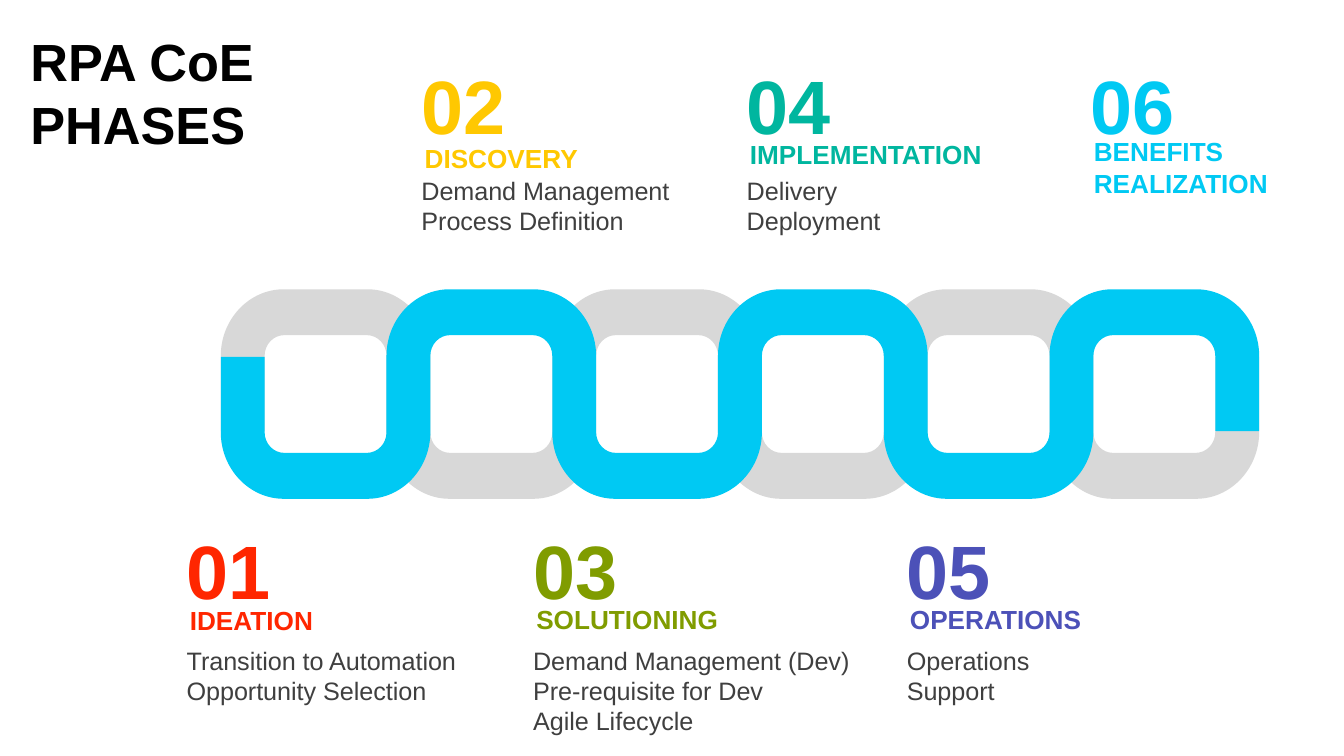
from lxml import etree
from pptx import Presentation
from pptx.dml.color import RGBColor as Color
from pptx.enum.text import MSO_AUTO_SIZE as AutoSize
from pptx.oxml.ns import qn
from pptx.util import Pt

COLORS = {
    "title": "000000", "body": "3F3F3F", "gray": "D8D8D8", "cyan": "00C9F3",
    "red": "FF2600", "yellow": "FFC801", "olive": "809C00",
    "green": "00B69F", "indigo": "4C51B8",
}

deck = Presentation()
deck.slide_width, deck.slide_height = Pt(720), Pt(405)
page = deck.slides.add_slide(deck.slide_layouts[6])


def add_text(place, lines, size, color, bold=True, inset=(5.4, 2.7), wrap=True):
    box = page.shapes.add_textbox(*(Pt(value) for value in place))
    frame = box.text_frame
    frame.word_wrap = wrap
    frame.auto_size = AutoSize.NONE if wrap else AutoSize.SHAPE_TO_FIT_TEXT
    frame.margin_left = frame.margin_right = Pt(inset[0])
    frame.margin_top = frame.margin_bottom = Pt(inset[1])
    for index, line in enumerate(lines):
        para = frame.add_paragraph() if index else frame.paragraphs[0]
        span = para.add_run()
        span.text = line
        span.font.name = "Arial"
        span.font.size = Pt(size)
        span.font.bold = bold
        span.font.color.rgb = Color.from_string(COLORS[color])


# Chain: two mirrored ribbons weaving through seven upright bars
LEFT, TOP, BOTTOM = 118.25, 155, 267.25
PITCH, BAR, BAND = 88.8, 23.5, 24.6
LINKS, START = 6, 191.25
PULL = 0.55  # Bezier handle length as a share of the corner radius


def link_corners(link, outer):
    """The two Bezier corners on one edge of a U-shaped link, left to right."""
    side = 1 if link % 2 == 0 else -1
    inset = 0 if outer else BAR
    left = LEFT + link * PITCH + inset
    right = LEFT + (link + 1) * PITCH + BAR - inset
    radius_x, radius_y = (33.75, 35.75) if outer else (10.5, 11)
    extreme = (BOTTOM if side > 0 else TOP) - (0 if outer else side * BAND)
    center = extreme - side * radius_y
    handle_x, handle_y = radius_x * (1 - PULL), center + side * radius_y * PULL
    return [
        [(left, center), (left, handle_y),
         (left + handle_x, extreme), (left + radius_x, extreme)],
        [(right - radius_x, extreme), (right - handle_x, extreme),
         (right, handle_y), (right, center)],
    ]


end = TOP + BOTTOM - START
last_bar = LEFT + LINKS * PITCH
edge_out, edge_in = [[(LEFT, START)]], [[(LEFT + BAR, START)]]
for link in range(LINKS):
    edge_out += link_corners(link, link % 2 == 0)
    edge_in += link_corners(link, link % 2 == 1)
edge_out.append([(last_bar, end)])
edge_in.append([(last_bar + BAR, end)])

# Straight stretches between corners become Bezier segments as well
wave = list(edge_out[0])
for corner in edge_out[1:] + [points[::-1] for points in edge_in[::-1]]:
    wave += [wave[-1], corner[0], *corner]
mirror = [(x, TOP + BOTTOM - y) for x, y in wave]

for color, outline in (("gray", mirror), ("cyan", wave)):
    points = [(Pt(x), Pt(y)) for x, y in outline]
    builder = page.shapes.build_freeform(*points[0])
    builder.add_line_segments(points[1:], close=True)
    ribbon = builder.convert_to_shape()
    ribbon.shadow.inherit = False
    ribbon.fill.solid()
    ribbon.fill.fore_color.rgb = Color.from_string(COLORS[color])
    ribbon.line.fill.background()
    # Each three line points turn into one cubic curve
    lines = list(ribbon.element.iter(qn("a:lnTo")))
    for index in range(0, len(lines), 3):
        curve = etree.Element(qn("a:cubicBezTo"))
        lines[index].addprevious(curve)
        for line in lines[index:index + 3]:
            curve.append(line[0])
            line.getparent().remove(line)

# Title
add_text((9.25, 8.4, 231, 45.25), ["RPA CoE", "PHASES"], 28, "title", inset=(7.2, 7.2))

# Phases: color, left, number width, label top, label width, label, body width, body
phases = [
    ("red", 94.6, 164, 320.2, 82, ["IDEATION"], 160.5,
     ["Transition to Automation", "Opportunity Selection"]),
    ("yellow", 220.4, 174, 72.75, 98, ["DISCOVERY"], 152,
     ["Demand Management Process Definition"]),
    ("olive", 280.2, 181.5, 319.75, 112.5, ["SOLUTIONING"], 201,
     ["Demand Management (Dev)", "Pre-requisite for Dev", "Agile Lifecycle"]),
    ("green", 394.6, 98.5, 70.5, 142, ["IMPLEMENTATION"], 126,
     ["Delivery", "Deployment"]),
    ("indigo", 480.4, 108.5, 319.75, 108, ["OPERATIONS"], 126,
     ["Operations", "Support"]),
    ("cyan", 578.9, 90, 69.2, 109.5, ["BENEFITS", "REALIZATION"], 0, []),
]
for number, phase in enumerate(phases, 1):
    color, left, width, label_top, label_width, label, body_width, body = phase
    number_top, body_top = (278, 342.8) if number % 2 else (28.75, 91.2)
    if body:
        add_text((left, body_top, body_width, 54.75), body, 13.5, "body", bold=False)
    add_text((left, number_top, width, 54.75), [f"{number:02}"], 40.5, color)
    add_text((left, label_top, label_width, 7.5 + 16.75 * len(label)), label, 14,
             color, inset=(7.2, 3.6), wrap=False)

deck.save("out.pptx")
